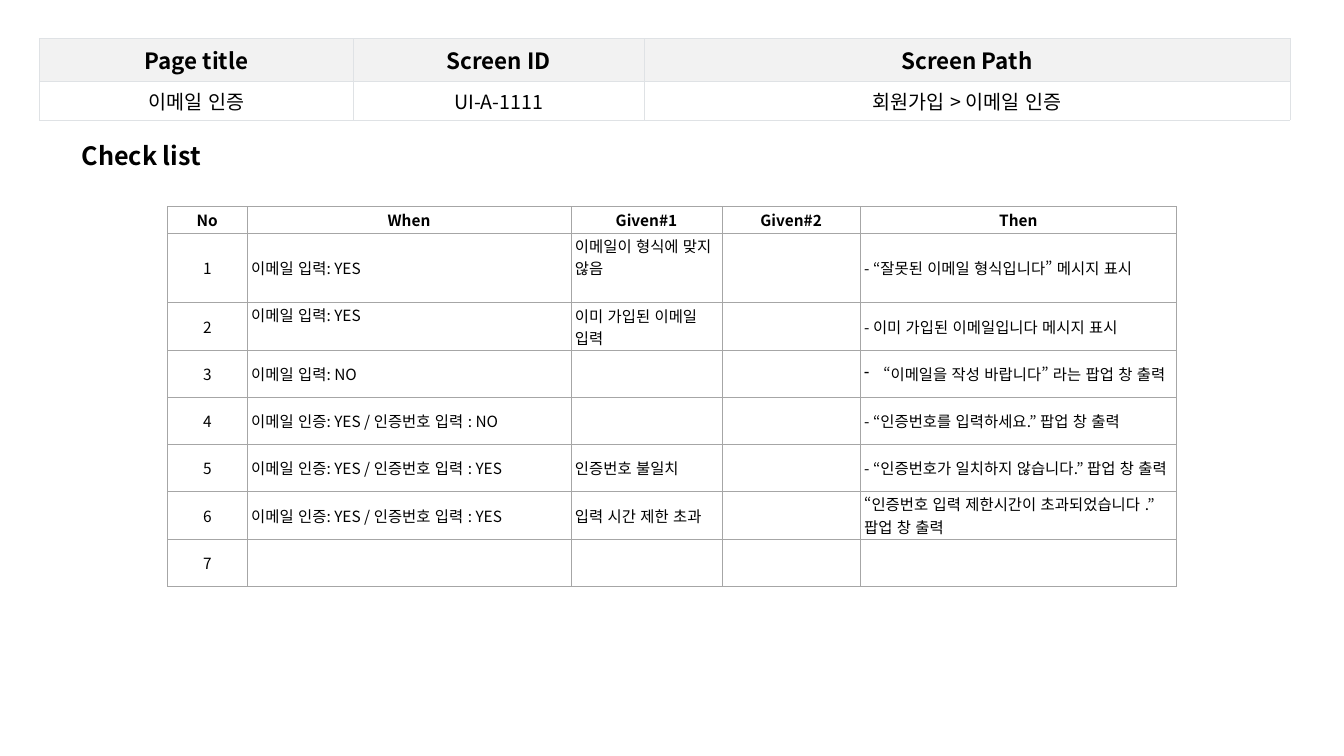
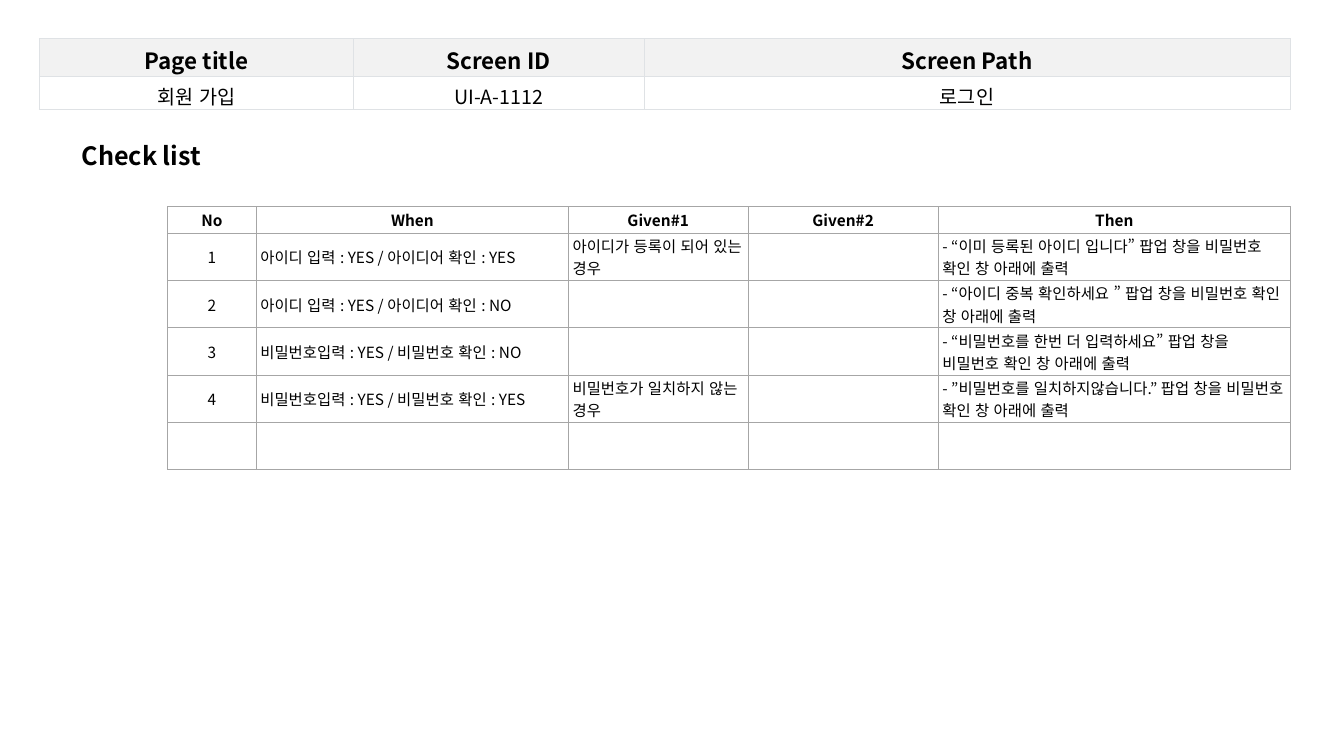
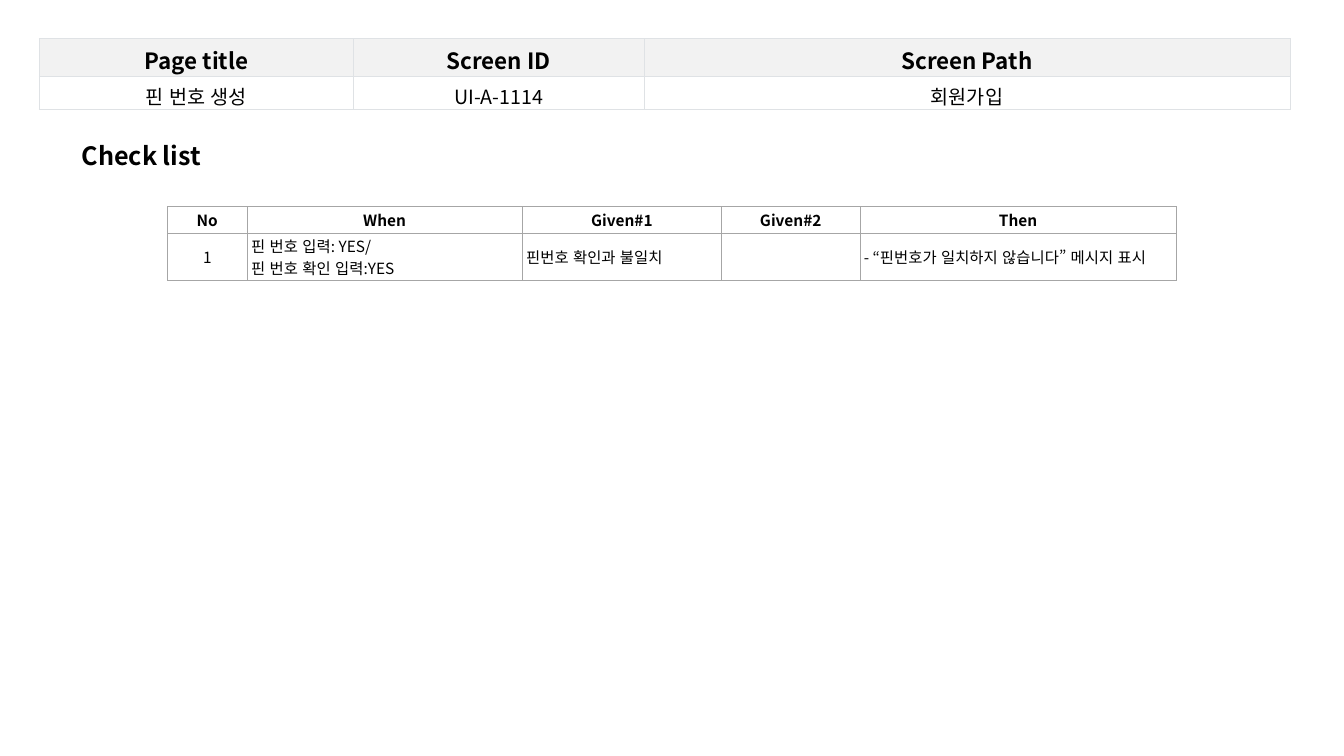
import dataclasses

import lxml.etree
import pptx
import pptx.dml.color
import pptx.enum.lang
import pptx.enum.text
import pptx.oxml.ns
import pptx.util

Cm = pptx.util.Cm
Pt = pptx.util.Pt
Align = pptx.enum.text.PP_ALIGN
Anchor = pptx.enum.text.MSO_ANCHOR
qn = pptx.oxml.ns.qn


@dataclasses.dataclass(frozen=True)
class Theme:
    font: str = "Noto Sans CJK KR"
    ink: str = "000000"
    paper: str = "FFFFFF"
    band: str = "F2F2F2"
    rule: str = "DFE2E5"
    grid: str = "A6A6A6"
    title: float = 18
    label: float = 16
    value: float = 14
    check: float = 11


@dataclasses.dataclass
class Page:
    name: str
    code: str
    route: str
    cols: tuple
    rows: list
    tall: dict = dataclasses.field(default_factory=dict)
    tops: tuple = ()
    dashed: tuple = ()
    foot: float = 0


THEME = Theme()
INFO_HEAD = ("Page title", "Screen ID", "Screen Path")
INFO_COLS = (7.92, 7.32, 16.28)
CHECK_HEAD = ("No", "When", "Given#1", "Given#2", "Then")
HEAD_TALL = 0.67
ROW_TALL = 1.19

PAGES = (
    Page(
        "이메일 인증", "UI-A-1111", "회원가입 > 이메일 인증",
        (2.01, 8.16, 3.81, 3.48, 7.97),
        [
            ("1", "이메일 입력: YES", "이메일이 형식에 맞지 않음", "",
             "- “잘못된 이메일 형식입니다” 메시지 표시"),
            ("2", "이메일 입력: YES", "이미 가입된 이메일 입력", "",
             "- 이미 가입된 이메일입니다 메시지 표시"),
            ("3", "이메일 입력: NO", "", "",
             "“이메일을 작성 바랍니다” 라는 팝업 창 출력"),
            ("4", "이메일 인증: YES / 인증번호 입력 : NO", "", "",
             "- “인증번호를 입력하세요.” 팝업 창 출력"),
            ("5", "이메일 인증: YES / 인증번호 입력 : YES", "인증번호 불일치", "",
             "- “인증번호가 일치하지 않습니다.” 팝업 창 출력"),
            ("6", "이메일 인증: YES / 인증번호 입력 : YES", "입력 시간 제한 초과", "",
             "“인증번호 입력 제한시간이 초과되었습니다 .” 팝업 창 출력"),
            ("7", "", "", "", ""),
        ],
        tall={1: 1.75}, tops=((1, 2), (2, 1)), dashed=((3, 4),), foot=0.13,
    ),
    Page(
        "회원 가입", "UI-A-1112", "로그인",
        (2.24, 7.87, 4.52, 4.8, 8.87),
        [
            ("1", "아이디 입력 : YES / 아이디어 확인 : YES",
             "아이디가 등록이 되어 있는 경우", "",
             "- “이미 등록된 아이디 입니다” 팝업 창을 비밀번호 확인 창 아래에 출력"),
            ("2", "아이디 입력 : YES / 아이디어 확인 : NO", "", "",
             "- “아이디 중복 확인하세요 ” 팝업 창을 비밀번호 확인 창 아래에 출력"),
            ("3", "비밀번호입력 : YES / 비밀번호 확인 : NO", "", "",
             "- “비밀번호를 한번 더 입력하세요” 팝업 창을 비밀번호 확인 창 아래에 출력"),
            ("4", "비밀번호입력 : YES / 비밀번호 확인 : YES",
             "비밀번호가 일치하지 않는 경우", "",
             "- ”비밀번호를 일치하지않습니다.” 팝업 창을 비밀번호 확인 창 아래에 출력"),
            ("", "", "", "", ""),
        ],
    ),
    Page(
        "핀 번호 생성", "UI-A-1114", "회원가입",
        (2.01, 6.93, 5.03, 3.48, 7.98),
        [
            ("1", "핀 번호 입력: YES/\n핀 번호 확인 입력:YES",
             "핀번호 확인과 불일치", "",
             "- “핀번호가 일치하지 않습니다” 메시지 표시"),
        ],
    ),
)


def rgb(code):
    return pptx.dml.color.RGBColor.from_string(code)


def write(frame, text, size, bold=False, align=Align.LEFT, dash=False):
    """Fill a text frame, one paragraph per line of text."""
    for i, line in enumerate(text.split("\n")):
        para = frame.paragraphs[0] if i == 0 else frame.add_paragraph()
        para.alignment = align
        if dash:
            hang(para)
        if not line:
            para.font.size = Pt(size)
            continue
        run = para.add_run()
        run.text = line
        font = run.font
        font.name = THEME.font
        font.size = Pt(size)
        font.bold = bold
        font.color.rgb = rgb(THEME.ink)
        font.language_id = pptx.enum.lang.MSO_LANGUAGE_ID.KOREAN
        props = run._r.get_or_add_rPr()
        lxml.etree.SubElement(props, qn("a:ea")).set("typeface", THEME.font)


def hang(para):
    """Give a paragraph a dash bullet with a hanging indent."""
    props = para._p.get_or_add_pPr()
    props.set("marL", str(Cm(0.48)))
    props.set("indent", str(-Cm(0.48)))
    lxml.etree.SubElement(props, qn("a:buChar")).set("char", "-")


def edge(cell, color, width):
    """Draw all four borders of a cell."""
    props = cell._tc.get_or_add_tcPr()
    for side in ("lnL", "lnR", "lnT", "lnB"):
        line = lxml.etree.SubElement(props, qn("a:" + side))
        line.set("w", str(Pt(width)))
        fill = lxml.etree.SubElement(line, qn("a:solidFill"))
        lxml.etree.SubElement(fill, qn("a:srgbClr")).set("val", color)


def inset(cell, side, top, foot):
    cell.margin_left = cell.margin_right = Cm(side)
    cell.margin_top = Cm(top)
    cell.margin_bottom = Cm(foot)


def grid(slide, left, top, cols, rows):
    """Add a plain table with the given column widths and row heights."""
    shape = slide.shapes.add_table(
        len(rows), len(cols), Cm(left), Cm(top), Cm(sum(cols)), Cm(sum(rows)))
    table = shape.table
    table.first_row = table.horz_banding = False
    for col, width in zip(table.columns, cols):
        col.width = Cm(width)
    for row, tall in zip(table.rows, rows):
        row.height = Cm(tall)
    return table


def paint(cell, line, width, fill):
    edge(cell, line, width)
    cell.fill.solid()
    cell.fill.fore_color.rgb = rgb(fill)
    cell.vertical_anchor = Anchor.MIDDLE


def info(slide, page):
    """Add the band with page title, screen ID and screen path."""
    rows = (0.94 + page.foot, 0.85 + page.foot)
    table = grid(slide, 0.99, 0.97, INFO_COLS, rows)
    data = (INFO_HEAD, (page.name, page.code, page.route))
    for r, texts in enumerate(data):
        head = r == 0
        for c, text in enumerate(texts):
            cell = table.cell(r, c)
            paint(cell, THEME.rule, 0.6, THEME.band if head else THEME.paper)
            inset(cell, 0.28, 0.13, page.foot)
            write(cell.text_frame, text, THEME.label if head else THEME.value,
                  head, Align.CENTER)


def checks(slide, page):
    """Add the table of checks."""
    data = [CHECK_HEAD] + page.rows
    rows = [HEAD_TALL] + [page.tall.get(r, ROW_TALL)
                          for r in range(1, len(data))]
    table = grid(slide, 4.22, 5.21, page.cols, rows)
    for r, texts in enumerate(data):
        head = r == 0
        pad = 0.05 if head else 0.02
        for c, text in enumerate(texts):
            cell = table.cell(r, c)
            paint(cell, THEME.grid, 0.5, THEME.paper)
            inset(cell, 0.1, pad, pad)
            if (r, c) in page.tops:
                cell.vertical_anchor = Anchor.TOP
            align = Align.CENTER if head or c == 0 else Align.LEFT
            write(cell.text_frame, text, THEME.check, head, align,
                  (r, c) in page.dashed)


def title(slide, text):
    shape = slide.shapes.title
    shape.left, shape.top = Cm(1.8), Cm(3.4)
    shape.width, shape.height = Cm(9.7), Cm(1.02)
    frame = shape.text_frame
    frame.word_wrap = True
    frame.auto_size = pptx.enum.text.MSO_AUTO_SIZE.NONE
    frame.vertical_anchor = Anchor.MIDDLE
    write(frame, text, THEME.title, True)


def main():
    deck = pptx.Presentation()
    deck.slide_width, deck.slide_height = Cm(33.87), Cm(19.05)
    for page in PAGES:
        slide = deck.slides.add_slide(deck.slide_layouts[5])
        info(slide, page)
        title(slide, "Check list")
        checks(slide, page)
    deck.save("out.pptx")


if __name__ == "__main__":
    main()
